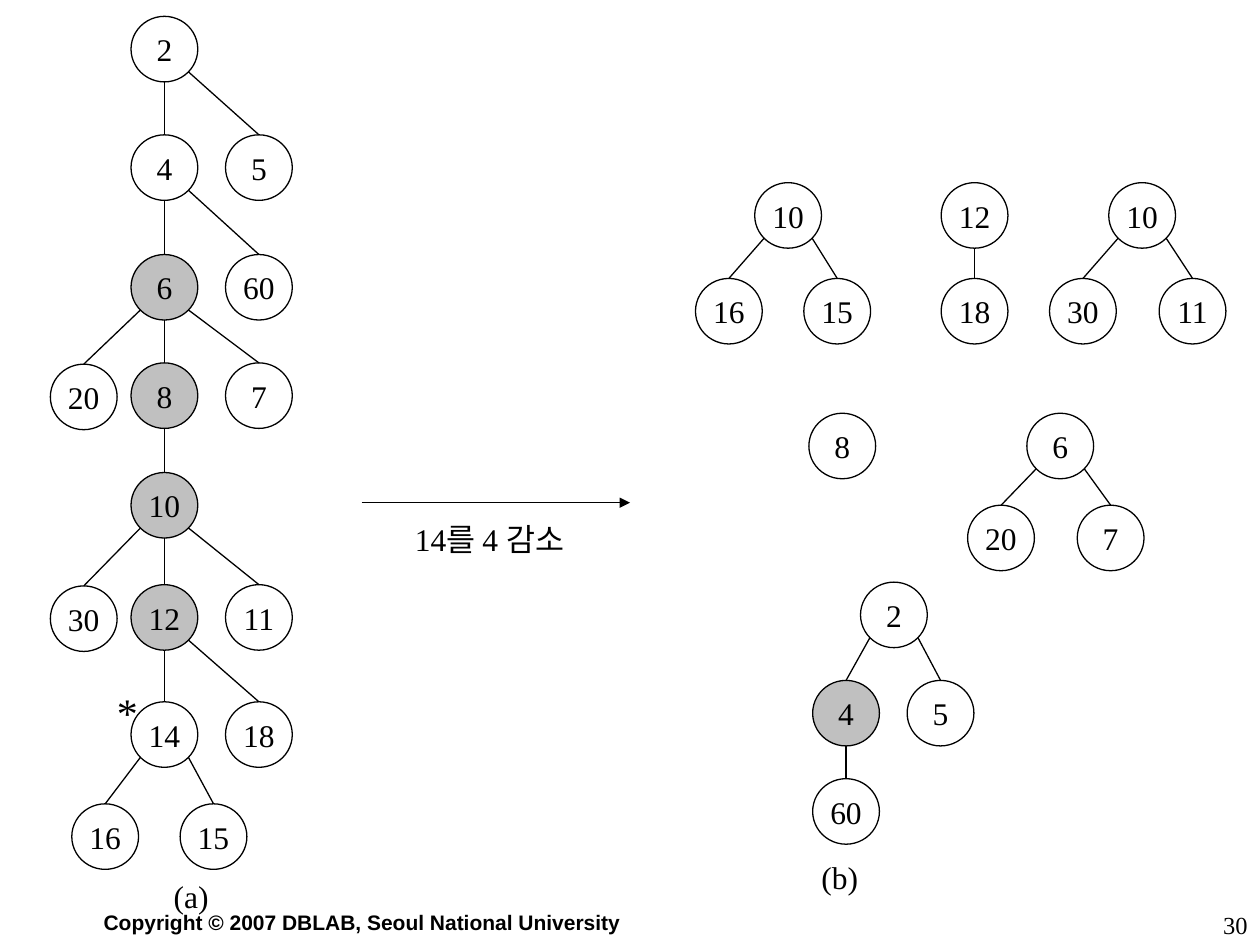
from lxml import etree
from pptx import Presentation
from pptx import util as u
from pptx.dml.color import RGBColor
from pptx.enum import shapes, text
from pptx.oxml.ns import qn

HEX = {"ink": "000000", "mark": "C0C0C0"}
INK = RGBColor.from_string(HEX["ink"])
WIDE, HIGH = 0.53, 0.52
SIDE, DROP = 0.19, 0.44  # where a slanted edge leaves its parent
LEFT, MID = text.PP_ALIGN.LEFT, text.PP_ALIGN.CENTER

deck = Presentation()
deck.slide_width, deck.slide_height = u.Inches(10), u.Inches(7.5)
slide = deck.slides.add_slide(deck.slide_layouts[6])


def write(shape, words, align=MID, wrap=False, **look):
    frame = shape.text_frame
    frame.word_wrap = wrap
    para = frame.paragraphs[0]
    para.text, para.alignment = words, align
    font = para.runs[0].font
    for key, val in {"name": "Times New Roman", "size": u.Pt(18), **look}.items():
        setattr(font, key, val)
    font.color.rgb = INK


def link(x1, y1, x2, y2):
    line = slide.shapes.add_connector(
        shapes.MSO_CONNECTOR.STRAIGHT, *map(u.Inches, (x1, y1, x2, y2)))
    line.line.color.rgb, line.line.width = INK, u.Pt(0.75)
    etree.SubElement(line._element.spPr, qn("a:effectLst"))
    return line


# Each node: label, left, top, row of its parent, marked
trees = [
    [("2", 1.04, 0.13, None, False),
     ("4", 1.04, 1.07, 0, False), ("5", 1.79, 1.07, 0, False),
     ("6", 1.04, 2.02, 1, True), ("60", 1.79, 2.02, 1, False),
     ("20", 0.4, 2.89, 3, False), ("8", 1.04, 2.88, 3, True),
     ("7", 1.79, 2.88, 3, False), ("10", 1.04, 3.75, 6, True),
     ("30", 0.4, 4.65, 8, False), ("12", 1.04, 4.64, 8, True),
     ("11", 1.79, 4.64, 8, False), ("14", 1.04, 5.57, 10, False),
     ("18", 1.79, 5.57, 10, False), ("16", 0.57, 6.38, 12, False),
     ("15", 1.43, 6.38, 12, False)],
    [("10", 5.99, 1.45, None, False),
     ("16", 5.52, 2.21, 0, False), ("15", 6.38, 2.21, 0, False)],
    [("12", 7.47, 1.45, None, False), ("18", 7.47, 2.21, 0, False)],
    [("10", 8.8, 1.45, None, False),
     ("30", 8.33, 2.21, 0, False), ("11", 9.2, 2.21, 0, False)],
    [("8", 6.42, 3.28, None, False)],
    [("6", 8.15, 3.28, None, False),
     ("20", 7.68, 4.01, 0, False), ("7", 8.55, 4.01, 0, False)],
    [("2", 6.83, 4.62, None, False),
     ("4", 6.45, 5.4, 0, True), ("5", 7.2, 5.4, 0, False),
     ("60", 6.45, 6.18, 1, False)],
]
for tree in trees:
    for label, left, top, root, marked in tree:
        node = slide.shapes.add_shape(
            shapes.MSO_SHAPE.OVAL, *map(u.Inches, (left, top, WIDE, HIGH)))
        node.shadow.inherit = False
        node.line.color.rgb, node.line.width = INK, u.Pt(0.75)
        if marked:
            node.fill.solid()
            node.fill.fore_color.rgb = RGBColor.from_string(HEX["mark"])
        else:
            node.fill.background()
        node.text_frame.vertical_anchor = text.MSO_ANCHOR.MIDDLE
        write(node, label)
        if root is None:
            continue
        px, py = tree[root][1:3]
        start, end = px + WIDE / 2, left + WIDE / 2
        if left == px:
            edge = link(start, py + HIGH, end, top)
        else:
            shift = SIDE if left > px else -SIDE
            edge = link(start + shift, py + DROP, end, top)
        edge.end_connect(node, 0)

arrow = link(2.87, 3.99, 5, 3.99)
etree.SubElement(arrow.line._get_or_add_ln(), qn("a:tailEnd"), type="triangle")

notes = [
    ("*", (0.83, 5.4, 0.36, 0.5), LEFT, {"size": u.Pt(24)}),
    ("(a)", (1.28, 6.91, 0.48, 0.4), LEFT, {}),
    ("(b)", (6.42, 6.76, 0.49, 0.4), LEFT, {}),
    ("14를 4 감소", (3.1, 4.08, 1.57, 0.4), MID, {}),
    ("Copyright © 2007 DBLAB, Seoul National University", (0.25, 7.17, 5.25, 0.3),
     MID, {"name": "Arial", "size": u.Pt(12), "bold": True, "wrap": True}),
    ("30", (7.92, 7.17, 2.08, 0.33), text.PP_ALIGN.RIGHT,
     {"size": u.Pt(14), "wrap": True}),
]
for words, place, align, look in notes:
    write(slide.shapes.add_textbox(*map(u.Inches, place)), words, align, **look)

deck.save("out.pptx")
